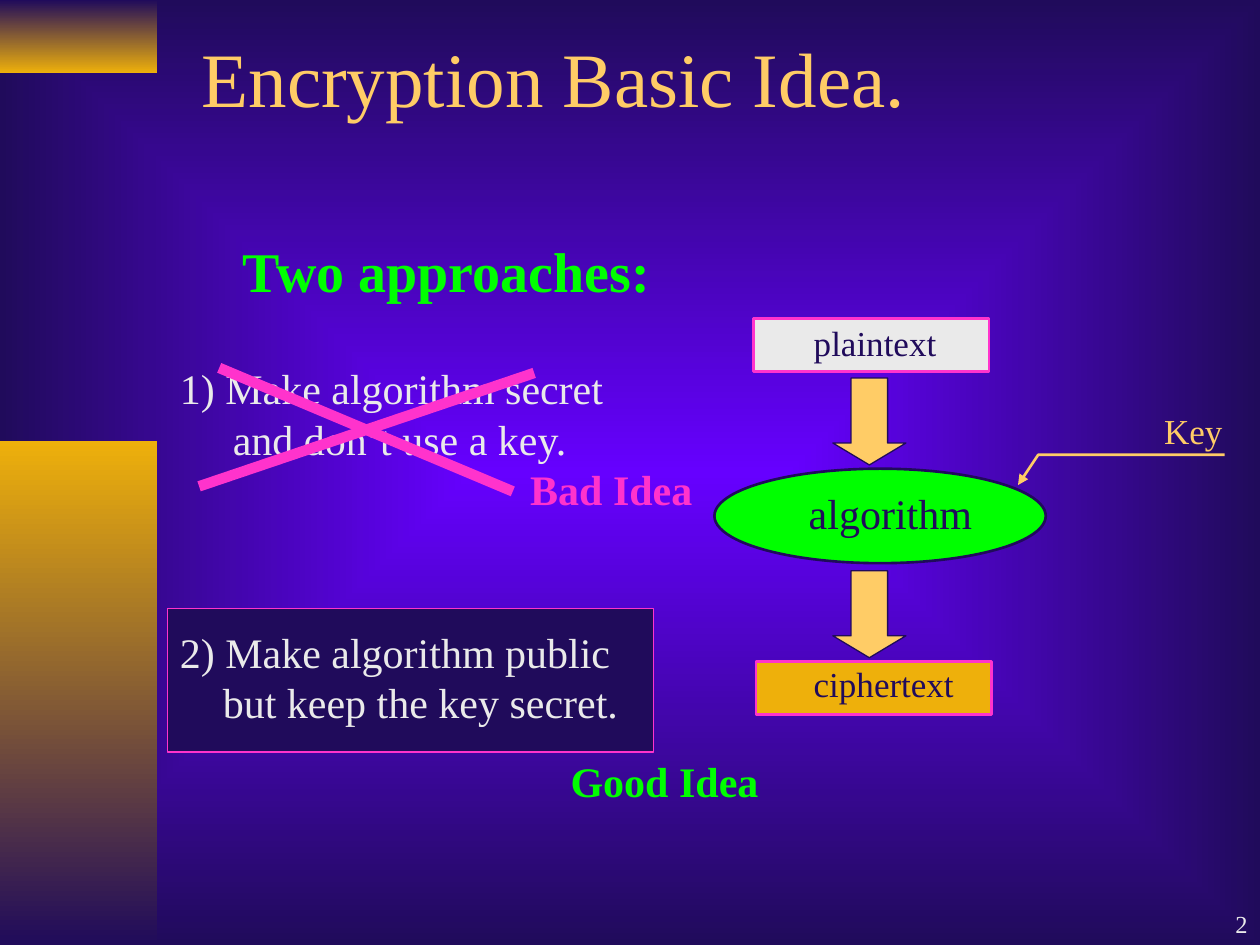
from lxml import etree
from pptx import Presentation
from pptx.dml.color import RGBColor
from pptx.enum.shapes import MSO_CONNECTOR, MSO_SHAPE
from pptx.enum.text import MSO_ANCHOR, MSO_AUTO_SIZE, PP_ALIGN
from pptx.oxml.ns import qn
from pptx.util import Inches, Pt

RECT, ELLIPSE, DOWN_ARROW = MSO_SHAPE.RECTANGLE, MSO_SHAPE.OVAL, MSO_SHAPE.DOWN_ARROW
STRAIGHT = MSO_CONNECTOR.STRAIGHT
LEFT, RIGHT = PP_ALIGN.LEFT, PP_ALIGN.RIGHT
MIDDLE, BOTTOM = MSO_ANCHOR.MIDDLE, MSO_ANCHOR.BOTTOM
NO_AUTOFIT = MSO_AUTO_SIZE.NONE

FONT = "Times New Roman"
COLORS = {
    name: RGBColor.from_string(value)
    for name, value in {
        "navy": "200B5B",
        "violet": "6600FF",
        "gold": "EEB00B",
        "sand": "FFCC66",
        "pink": "FF33CC",
        "green": "00FF00",
        "light": "EAEAEA",
    }.items()
}


def write(box, lines, size, color, bold=False, align=LEFT, hanging=0):
    """Fill a text shape with one paragraph, its lines split by line breaks."""
    paragraph = box.text_frame.paragraphs[0]
    paragraph.alignment = align
    if hanging:
        properties = paragraph._p.get_or_add_pPr()
        properties.set("marL", str(Inches(hanging)))
        properties.set("indent", str(-Inches(hanging)))
    for index, line in enumerate(lines):
        if index:
            paragraph.add_line_break()
        run = paragraph.add_run()
        run.text = line
        run.font.name = FONT
        run.font.size = Pt(size)
        run.font.bold = bold
        run.font.color.rgb = COLORS[color]


def add_block(kind, left, top, width, height, fill, line, weight):
    block = slide.shapes.add_shape(
        kind, Inches(left), Inches(top), Inches(width), Inches(height))
    block.shadow.inherit = False
    block.fill.solid()
    block.fill.fore_color.rgb = COLORS[fill]
    block.line.color.rgb = COLORS[line]
    block.line.width = Pt(weight)
    return block


prs = Presentation()
prs.slide_width, prs.slide_height = Inches(10), Inches(7.5)
slide = prs.slides.add_slide(prs.slide_layouts[5])

# Background glowing from the centre
backdrop = slide.background.fill
backdrop.gradient()
for stop, color in zip(backdrop.gradient_stops, ("violet", "navy")):
    stop.color.rgb = COLORS[color]
gradient = slide.background._cSld.find(".//" + qn("a:gradFill"))
gradient.remove(gradient.find(qn("a:lin")))
glow = etree.SubElement(gradient, qn("a:path"), path="rect")
etree.SubElement(glow, qn("a:fillToRect"), l="50000", t="50000", r="50000", b="50000")

# Side bands
for top, height, band_colors in (
    (0, 0.58, ("navy", "gold")),
    (3.5, 4, ("gold", "navy")),
):
    band = slide.shapes.add_shape(RECT, 0, Inches(top), Inches(1.25), Inches(height))
    band.shadow.inherit = False
    band.line.fill.background()
    band.fill.gradient()
    band.fill.gradient_angle = 270
    for stop, color in zip(band.fill.gradient_stops, band_colors):
        stop.color.rgb = COLORS[color]

# Title
title = slide.shapes.title
title.left, title.top = Inches(1.5), Inches(0.18)
title.width, title.height = Inches(7.71), Inches(0.85)
title.text_frame.auto_size = NO_AUTOFIT
title.text_frame.vertical_anchor = MIDDLE
write(title, ["Encryption Basic Idea."], 44, "sand")

# Frame of the good approach, and the encryption flow
add_block(RECT, 1.33, 4.83, 3.86, 1.14, "navy", "pink", 0.75)
add_block(RECT, 5.98, 2.53, 1.87, 0.42, "light", "pink", 1.5)
add_block(ELLIPSE, 5.67, 3.72, 2.63, 0.75, "green", "navy", 1.5)
add_block(RECT, 6, 5.25, 1.87, 0.42, "gold", "pink", 1.5)
for top in (3, 4.53):
    arrow = add_block(DOWN_ARROW, 6.61, top, 0.58, 0.69, "sand", "navy", 0.75)
    arrow.adjustments[0], arrow.adjustments[1] = 0.5, 0.3

# Key pointer into the algorithm
pointer = slide.shapes.build_freeform(Inches(9.72), Inches(3.61))
pointer.add_line_segments(
    [(Inches(8.24), Inches(3.61)), (Inches(8.08), Inches(3.85))], close=False)
key_line = pointer.convert_to_shape()
key_line.shadow.inherit = False
key_line.fill.background()
key_line.line.color.rgb = COLORS["sand"]
key_line.line.width = Pt(1.5)
etree.SubElement(key_line.line._get_or_add_ln(), qn("a:tailEnd"), type="triangle")

# Labels of one line, each box a little wider than its text
for text, left, top, width, height, size, color, bold in (
    ("Two approaches:", 1.83, 1.83, 3.55, 0.64, 32, "green", True),
    ("Good Idea", 4.43, 5.95, 1.75, 0.5, 24, "green", True),
    ("Bad Idea", 4.11, 3.63, 1.55, 0.5, 24, "pink", True),
    ("plaintext", 6.36, 2.5, 1.25, 0.44, 20, "navy", False),
    ("algorithm", 6.32, 3.82, 1.58, 0.5, 24, "navy", False),
    ("ciphertext", 6.36, 5.21, 1.4, 0.44, 20, "navy", False),
    ("Key", 9.14, 3.2, 0.75, 0.44, 20, "sand", False),
):
    label = slide.shapes.add_textbox(
        Inches(left), Inches(top), Inches(width), Inches(height))
    label.text_frame.word_wrap = True
    write(label, [text], size, color, bold)

# The two approaches
for top, hanging, lines in (
    (2.83, 0.42, ("1) Make algorithm secret", "and don’t use a key.")),
    (4.92, 0.34, ("2) Make algorithm public", "but keep the key secret.")),
):
    approach = slide.shapes.add_textbox(
        Inches(1.33), Inches(top), Inches(3.8), Inches(0.9))
    approach.text_frame.word_wrap = True
    write(approach, lines, 24, "light", hanging=hanging)

# Cross over the bad approach
for x1, y1, x2, y2 in ((4.24, 2.96, 1.58, 3.86), (4.07, 3.9, 1.74, 2.92)):
    stroke = slide.shapes.add_connector(
        STRAIGHT, Inches(x1), Inches(y1), Inches(x2), Inches(y2))
    stroke.line.color.rgb = COLORS["pink"]
    stroke.line.width = Pt(6)
    etree.SubElement(stroke._element.spPr, qn("a:effectLst"))

# Slide number
number = slide.shapes.add_textbox(Inches(7.92), Inches(7), Inches(2.08), Inches(0.5))
number.text_frame.word_wrap = True
number.text_frame.vertical_anchor = BOTTOM
write(number, ["2"], 14, "light", align=RIGHT)

prs.save("out.pptx")
